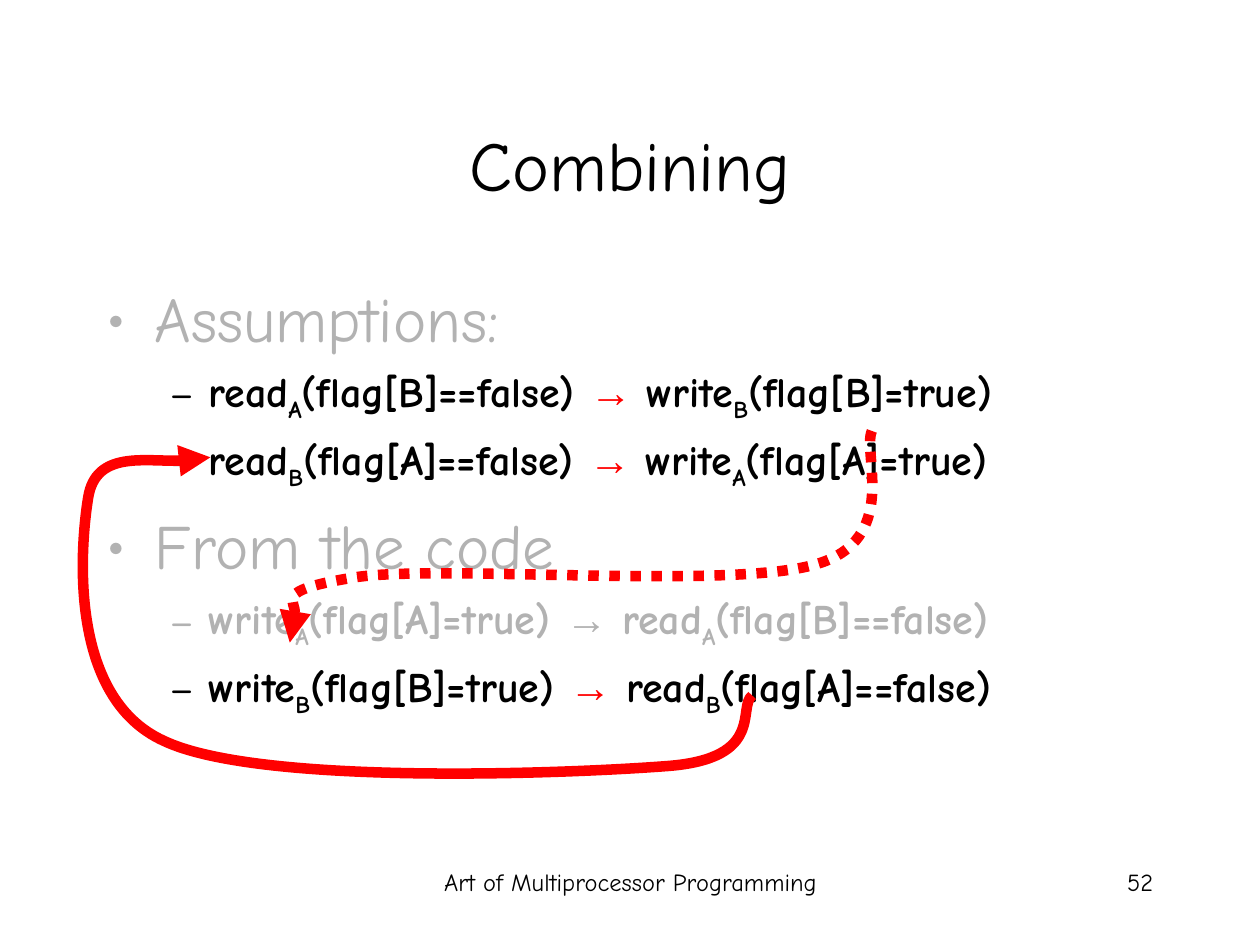
"""Build the Combining slide: assumptions and code orderings linked by two curved arrows."""
from dataclasses import dataclass

from lxml.etree import SubElement
from pptx import Presentation
from pptx.dml.color import RGBColor
from pptx.enum.dml import MSO_LINE
from pptx.enum.text import MSO_ANCHOR, PP_ALIGN
from pptx.oxml.ns import qn
from pptx.util import Pt


@dataclass(frozen=True)
class Theme:
    font: str = "Comic Neue"
    arrow_font: str = "Arial"
    ink: RGBColor = RGBColor(0x00, 0x00, 0x00)
    faded: RGBColor = RGBColor(0xB2, 0xB2, 0xB2)
    accent: RGBColor = RGBColor(0xFF, 0x00, 0x00)
    title: int = 40
    heading: int = 36
    event: int = 24
    footer: int = 14
    stroke: int = 6


THEME = Theme()
PX = 9144

prs = Presentation()
prs.slide_width, prs.slide_height = 1000 * PX, 750 * PX
slide = prs.slides.add_slide(prs.slide_layouts[6])


def add_text_frame(left, top, width, height, anchor=MSO_ANCHOR.TOP):
    frame = slide.shapes.add_textbox(left * PX, top * PX, width * PX, height * PX).text_frame
    frame.word_wrap = True
    frame.vertical_anchor = anchor
    return frame


def add_run(paragraph, text, size, color, font=THEME.font, bold=False):
    run = paragraph.add_run()
    run.text = text
    run.font.name = font
    run.font.size = Pt(size)
    run.font.bold = bold
    run.font.color.rgb = color
    return run


single_lines = [
    ("Art of Multiprocessor Programming", (342, 683, 317, 50), PP_ALIGN.CENTER, MSO_ANCHOR.TOP, THEME.footer),
    ("52", (717, 683, 208, 50), PP_ALIGN.RIGHT, MSO_ANCHOR.TOP, THEME.footer),
    ("Combining", (75, 67, 850, 125), PP_ALIGN.CENTER, MSO_ANCHOR.MIDDLE, THEME.title),
]
for text, place, alignment, anchor, size in single_lines:
    line = add_text_frame(*place, anchor).paragraphs[0]
    line.alignment = alignment
    add_run(line, text, size, THEME.ink)

READ, WRITE = "read", "write"
outline = [
    ("Assumptions:", [
        ((READ, "A", "(flag[B]==false)"), (WRITE, "B", "(flag[B]=true)"), True),
        ((READ, "B", "(flag[A]==false)"), (WRITE, "A", "(flag[A]=true)"), True),
    ]),
    ("From the code", [
        ((WRITE, "A", "(flag[A]=true)"), (READ, "A", "(flag[B]==false)"), False),
        ((WRITE, "B", "(flag[B]=true)"), (READ, "B", "(flag[A]==false)"), True),
    ]),
]
rows = []
for heading, orderings in outline:
    rows.append((0, heading, THEME.faded, THEME.faded))
    for before, after, active in orderings:
        colors = (THEME.ink, THEME.accent) if active else (THEME.faded, THEME.faded)
        rows.append((1, (before, after), *colors))

level_styles = [("•", 38, 38, 9), ("–", 81, 31, 6)]
body = add_text_frame(75, 217, 850, 450)
for index, (level, content, color, arrow_color) in enumerate(rows):
    row = body.add_paragraph() if index else body.paragraphs[0]
    bullet, margin, hanging, space = level_styles[level]
    row.level = level
    properties = row._p.get_or_add_pPr()
    properties.set("marL", str(margin * PX))
    properties.set("indent", str(-hanging * PX))
    bullet_color = SubElement(properties, qn("a:buClr"))
    SubElement(bullet_color, qn("a:srgbClr")).set("val", str(color))
    SubElement(properties, qn("a:buFont")).set("typeface", THEME.font)
    SubElement(properties, qn("a:buChar")).set("char", bullet)
    row.space_before = Pt(space if index else 0)
    if level == 0:
        add_run(row, content, THEME.heading, color)
        continue
    (first, first_thread, first_flag), (second, second_thread, second_flag) = content
    pieces = [
        (first, "text"), (first_thread, "sub"), (first_flag + " ", "text"), ("→", "arrow"),
        (" " + second, "text"), (second_thread, "sub"), (second_flag, "text"),
    ]
    for text, role in pieces:
        if role == "arrow":
            add_run(row, text, THEME.event, arrow_color, THEME.arrow_font, True)
            continue
        piece = add_run(row, text, THEME.event, color, bold=True)
        if role == "sub":
            piece.font._element.set("baseline", "-25000")

curves = [
    ([(597, 552), (585, 561), (608, 602), (530, 608), (452, 614), (206, 624), (130, 588),
      (53, 553), (64, 432), (70, 395), (76, 357), (147, 370), (167, 363)], MSO_LINE.SOLID),
    ([(692, 342), (684, 359), (715, 429), (647, 448), (579, 468), (353, 448), (283, 458),
      (214, 469), (241, 499), (230, 510)], MSO_LINE.ROUND_DOT),
]
for points, dash in curves:
    builder = slide.shapes.build_freeform(*points[0], scale=PX)
    builder.add_line_segments(points[1:], close=False)
    arrow = builder.convert_to_shape()
    arrow.shadow.inherit = False
    arrow.fill.background()
    arrow.line.color.rgb = THEME.accent
    arrow.line.width = Pt(THEME.stroke)
    arrow.line.dash_style = dash
    SubElement(arrow.line._get_or_add_ln(), qn("a:tailEnd")).set("type", "triangle")
    outline_path = arrow._element.find(".//" + qn("a:path"))
    segments = outline_path.findall(qn("a:lnTo"))
    for start in range(0, len(segments), 3):
        bezier = SubElement(outline_path, qn("a:cubicBezTo"))
        for segment in segments[start:start + 3]:
            bezier.append(segment[0])
            outline_path.remove(segment)

prs.save("out.pptx")
